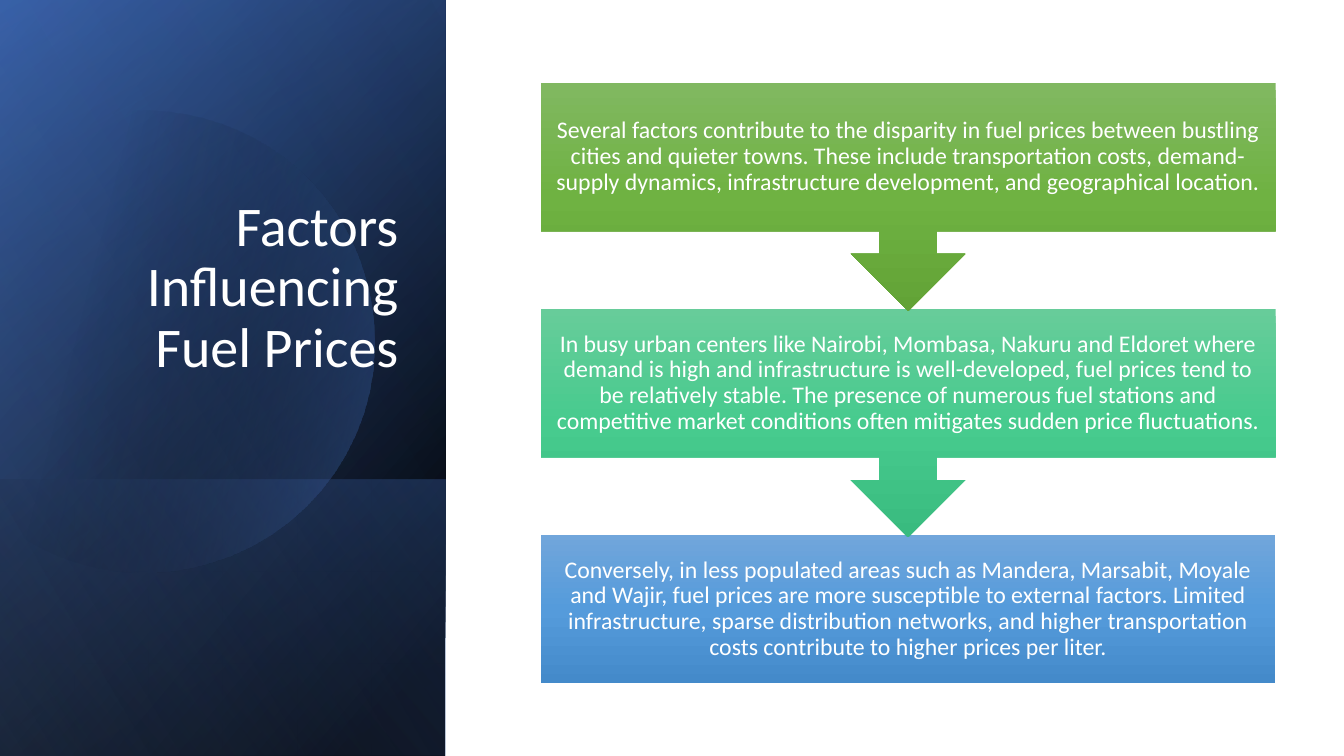
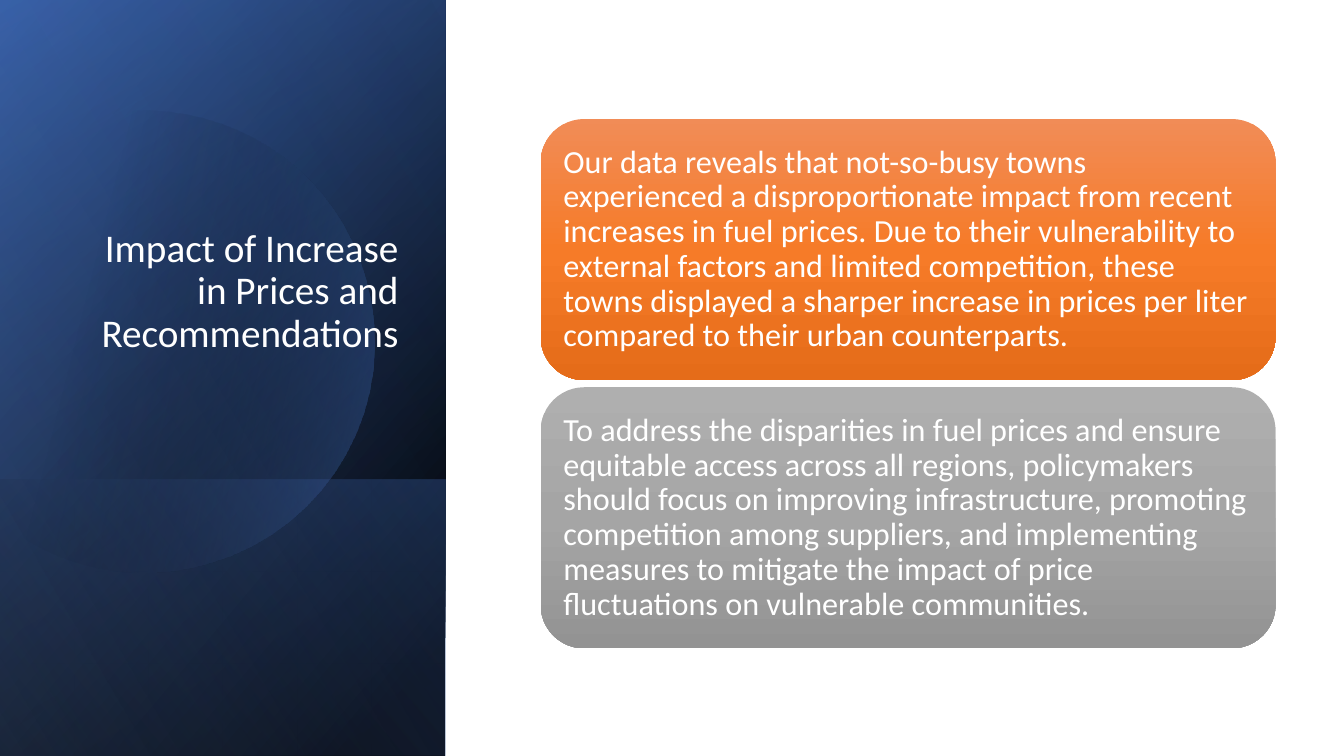
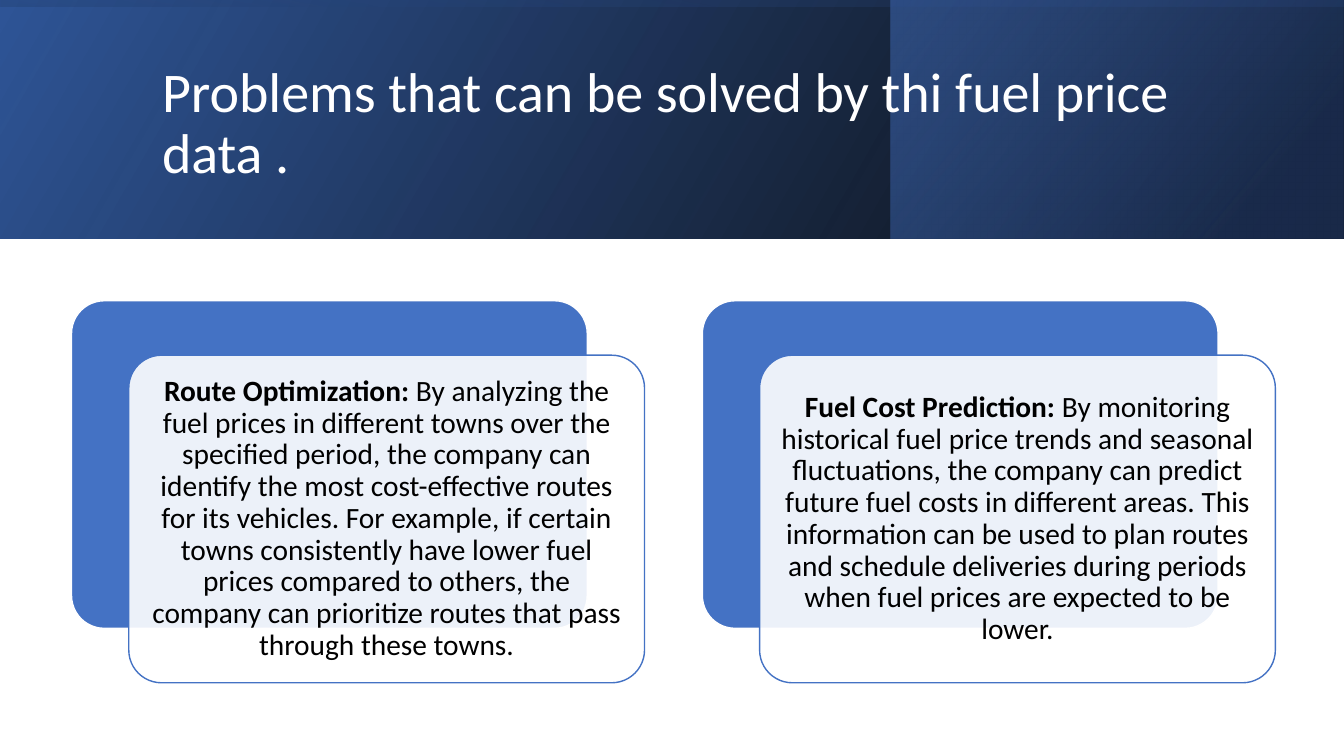
from dataclasses import dataclass

import lxml.etree
import pptx
import pptx.dml.color
import pptx.enum.shapes
import pptx.enum.text
import pptx.oxml.ns
import pptx.shapes.autoshape
import pptx.slide
import pptx.util

SHAPE = pptx.enum.shapes.MSO_SHAPE
ALIGN = pptx.enum.text.PP_ALIGN
ANCHOR = pptx.enum.text.MSO_ANCHOR

FONT = "Calibri"
WHITE, BLACK = "FFFFFF", "000000"
BLUE, DEEP_BLUE, NAVY, PALE_BLUE = "4472C4", "2F5597", "203864", "8FAADC"
SLIDE_WIDTH, SLIDE_HEIGHT = 960, 540
PANEL_WIDTH, BAND_HEIGHT = 318.24, 170.64
CONTENT_LEFT, CONTENT_WIDTH = 386.2, 524.9


@dataclass(frozen=True)
class Box:
    left: float
    top: float
    width: float
    height: float


@dataclass(frozen=True)
class Stop:
    position: int
    color: str
    opacity: int = 100


@dataclass(frozen=True)
class Gradient:
    stops: tuple[Stop, ...]
    angle: int


@dataclass(frozen=True)
class Wash:
    box: Box
    gradient: Gradient
    rotation: int = 0


@dataclass(frozen=True)
class TextStyle:
    size: float
    color: str = WHITE
    align: ALIGN = ALIGN.LEFT
    anchor: ANCHOR = ANCHOR.MIDDLE
    inset: float = 7.2


@dataclass(frozen=True)
class Block:
    text: str
    colors: tuple[str, str, str]


@dataclass(frozen=True)
class Card:
    heading: str
    text: str


PANEL = Box(0, 0, PANEL_WIDTH, SLIDE_HEIGHT)
PANEL_FOOT = Box(0, 342.7, PANEL_WIDTH, 197.3)
PANEL_BASE = (
    Wash(PANEL, Gradient((Stop(8, BLACK), Stop(100, DEEP_BLUE)), 50), 90),
    Wash(PANEL, Gradient((Stop(0, BLACK, 0), Stop(99, BLUE, 46)), 30), 90),
    Wash(PANEL_FOOT, Gradient((Stop(2, BLUE, 29), Stop(100, BLACK, 30)), 130), 90),
)
PANEL_SHEEN = Wash(PANEL, Gradient((Stop(0, BLACK, 0), Stop(99, PALE_BLUE, 11)), 120), 90)
BAND = Box(0, 0, SLIDE_WIDTH, BAND_HEIGHT)
BAND_WASHES = (
    Wash(BAND, Gradient((Stop(0, BLACK, 96), Stop(100, DEEP_BLUE)), 330)),
    Wash(Box(636.5, 0, 323, BAND_HEIGHT),
         Gradient((Stop(19, NAVY, 68), Stop(100, BLUE, 48)), 320)),
    Wash(BAND, Gradient((Stop(23, DEEP_BLUE, 16), Stop(99, BLACK, 45)), 350), 270),
)
CIRCLE_GRADIENT = Gradient((Stop(29, BLACK, 0), Stop(100, BLUE, 43)), 14)
CIRCLE_START = (107, 79)
CIRCLE_PIECES = (
    ((177, 81), (241, 127), (261, 198)),
    ((287, 286), (236, 377), (149, 402)),
    ((94, 418), (38, 404), (-2, 370)),
    ((-11, 362),),
    ((-11, 126),),
    ((0, 116),),
    ((17, 102), (36, 92), (58, 86)),
    ((74, 81), (91, 79), (107, 79)),
)

FACTORS = (
    Block("Several factors contribute to the disparity in fuel prices between bustling cities and "
          "quieter towns. These include transportation costs, demand-supply dynamics, "
          "infrastructure development, and geographical location.",
          ("81B861", "6FB242", "62A336")),
    Block("In busy urban centers like Nairobi, Mombasa, Nakuru and Eldoret where demand is high "
          "and infrastructure is well-developed, fuel prices tend to be relatively stable. The "
          "presence of numerous fuel stations and competitive market conditions often mitigates "
          "sudden price fluctuations.",
          ("67CC9A", "47CB8E", "39BB7F")),
    Block("Conversely, in less populated areas such as Mandera, Marsabit, Moyale and Wajir, fuel "
          "prices are more susceptible to external factors. Limited infrastructure, sparse "
          "distribution networks, and higher transportation costs contribute to higher prices "
          "per liter.",
          ("71A6DB", "559BDB", "448ACA")),
)
IMPACTS = (
    Block("Our data reveals that not-so-busy towns experienced a disproportionate impact from "
          "recent increases in fuel prices. Due to their vulnerability to external factors and "
          "limited competition, these towns displayed a sharper increase in prices per liter "
          "compared to their urban counterparts.",
          ("F18C57", "F67B28", "E56C19")),
    Block("To address the disparities in fuel prices and ensure equitable access across all "
          "regions, policymakers should focus on improving infrastructure, promoting competition "
          "among suppliers, and implementing measures to mitigate the impact of price "
          "fluctuations on vulnerable communities.",
          ("AFAFAF", "A5A5A5", "939393")),
)
CARDS = (
    Card("Route Optimization:",
         " By analyzing the fuel prices in different towns over the specified period, the company "
         "can identify the most cost-effective routes for its vehicles. For example, if certain "
         "towns consistently have lower fuel prices compared to others, the company can "
         "prioritize routes that pass through these towns."),
    Card("Fuel Cost Prediction:",
         " By monitoring historical fuel price trends and seasonal fluctuations, the company can "
         "predict future fuel costs in different areas. This information can be used to plan "
         "routes and schedule deliveries during periods when fuel prices are expected to be "
         "lower."),
)


def rgb(color: str) -> pptx.dml.color.RGBColor:
    return pptx.dml.color.RGBColor.from_string(color)


def element(parent: lxml.etree.ElementBase, tag: str, **attributes: str) -> lxml.etree.ElementBase:
    return lxml.etree.SubElement(parent, pptx.oxml.ns.qn(tag), attributes)


def frame(box: Box) -> tuple[pptx.util.Length, ...]:
    return tuple(pptx.util.Pt(value) for value in (box.left, box.top, box.width, box.height))


def fill_gradient(shape: pptx.shapes.autoshape.Shape, gradient: Gradient) -> None:
    shape.shadow.inherit = False
    shape.line.fill.background()
    shape.fill.gradient()
    fill = shape.fill._xPr.find(pptx.oxml.ns.qn("a:gradFill"))
    fill.set("rotWithShape", "1")
    for child in list(fill):
        fill.remove(child)
    stop_list = element(fill, "a:gsLst")
    for stop in gradient.stops:
        mark = element(stop_list, "a:gs", pos=str(stop.position * 1000))
        tint = element(mark, "a:srgbClr", val=stop.color)
        if stop.opacity < 100:
            element(tint, "a:alpha", val=str(stop.opacity * 1000))
    element(fill, "a:lin", ang=str(gradient.angle * 60000), scaled="0")


def add_wash(slide: pptx.slide.Slide, wash: Wash) -> None:
    box = wash.box
    if wash.rotation % 180 == 90:
        shift = (box.width - box.height) / 2
        box = Box(box.left + shift, box.top - shift, box.height, box.width)
    shape = slide.shapes.add_shape(SHAPE.RECTANGLE, *frame(box))
    shape.rotation = wash.rotation
    shape._element.spPr.xfrm.set("flipH", "1")
    fill_gradient(shape, wash.gradient)


def add_circle(slide: pptx.slide.Slide) -> None:
    points = [CIRCLE_START]
    steps = 16
    for piece in CIRCLE_PIECES:
        if len(piece) == 1:
            points.append(piece[0])
            continue
        controls = (points[-1], *piece)
        for step in range(1, steps + 1):
            t = step / steps
            weights = ((1 - t) ** 3, 3 * t * (1 - t) ** 2, 3 * t * t * (1 - t), t ** 3)
            points.append(tuple(
                sum(weight * point[axis] for weight, point in zip(weights, controls))
                for axis in (0, 1)))
    outline = [(pptx.util.Pt(x), pptx.util.Pt(y)) for x, y in points]
    builder = slide.shapes.build_freeform(*outline[0])
    builder.add_line_segments(outline[1:], close=True)
    fill_gradient(builder.convert_to_shape(), CIRCLE_GRADIENT)


def write_text(shape: pptx.shapes.autoshape.Shape, text: str, style: TextStyle,
               heading: str = "") -> None:
    text_frame = shape.text_frame
    text_frame.word_wrap = True
    text_frame.vertical_anchor = style.anchor
    inset = pptx.util.Pt(style.inset)
    text_frame.margin_left = text_frame.margin_right = inset
    text_frame.margin_top = text_frame.margin_bottom = inset
    paragraph = text_frame.paragraphs[0]
    paragraph.text = heading or text
    if heading:
        paragraph.add_run().text = text
    paragraph.alignment = style.align
    paragraph.line_spacing = 0.9
    for index, run in enumerate(paragraph.runs):
        run.font.name = FONT
        run.font.size = pptx.util.Pt(style.size)
        run.font.color.rgb = rgb(style.color)
        run.font.bold = bool(heading) and index == 0


def add_title(slide: pptx.slide.Slide, text: str, box: Box, style: TextStyle,
              bottom_inset: float = 3.6) -> None:
    title = slide.shapes.add_textbox(*frame(box))
    write_text(title, text, style)
    title.text_frame.margin_top = pptx.util.Pt(3.6)
    title.text_frame.margin_bottom = pptx.util.Pt(bottom_inset)


def add_side_panel(slide: pptx.slide.Slide, title: str, size: float, bottom_inset: float) -> None:
    for wash in PANEL_BASE:
        add_wash(slide, wash)
    add_circle(slide)
    add_wash(slide, PANEL_SHEEN)
    add_title(slide, title, Box(46.1, 132.5, 245.5, 188.6),
              TextStyle(size, align=ALIGN.RIGHT, anchor=ANCHOR.BOTTOM), bottom_inset)


def add_block(slide: pptx.slide.Slide, kind: SHAPE, top: float, height: float, block: Block,
              style: TextStyle) -> None:
    shape = slide.shapes.add_shape(kind, *frame(Box(CONTENT_LEFT, top, CONTENT_WIDTH, height)))
    stops = tuple(Stop(50 * index, color) for index, color in enumerate(block.colors))
    fill_gradient(shape, Gradient(stops, 90))
    write_text(shape, block.text, style)


def add_plate(slide: pptx.slide.Slide, box: Box, fill: str, line: str,
              opacity: int = 100) -> pptx.shapes.autoshape.Shape:
    plate = slide.shapes.add_shape(SHAPE.ROUNDED_RECTANGLE, *frame(box))
    plate.adjustments[0] = 0.1
    plate.shadow.inherit = False
    plate.fill.solid()
    plate.fill.fore_color.rgb = rgb(fill)
    if opacity < 100:
        tint = plate._element.spPr.find(".//" + pptx.oxml.ns.qn("a:srgbClr"))
        element(tint, "a:alpha", val=str(opacity * 1000))
    plate.line.color.rgb = rgb(line)
    plate.line.width = pptx.util.Pt(1)
    return plate


def build_factors(slide: pptx.slide.Slide) -> None:
    add_side_panel(slide, "Factors Influencing Fuel Prices", 40, 50)
    first_top, pitch, box_height, callout_height = 59, 161.5, 106, 163.2
    style = TextStyle(17, align=ALIGN.CENTER, inset=9.4)
    last = len(FACTORS) - 1
    for index in reversed(range(len(FACTORS))):
        kind = SHAPE.RECTANGLE if index == last else SHAPE.DOWN_ARROW_CALLOUT
        height = box_height if index == last else callout_height
        add_block(slide, kind, first_top + index * pitch, height, FACTORS[index], style)


def build_impacts(slide: pptx.slide.Slide) -> None:
    add_side_panel(slide, "Impact of Increase in Prices and Recommendations", 28, 67)
    for index, block in enumerate(IMPACTS):
        add_block(slide, SHAPE.ROUNDED_RECTANGLE, 85 + index * 191.6, 186.5, block, TextStyle(23))


def build_problems(slide: pptx.slide.Slide) -> None:
    for wash in BAND_WASHES:
        add_wash(slide, wash)
    add_title(slide, "Problems that can be solved by thi fuel price data .",
              Box(108.7, 27.4, 765.4, 123.8), TextStyle(40))
    style = TextStyle(21, BLACK, ALIGN.CENTER, inset=6.3)
    width, height, offset_x, offset_y = 368.4, 234, 40.9, 38.9
    for index, card in enumerate(CARDS):
        left, top = 51.1 + index * 450.6, 214.8
        add_plate(slide, Box(left, top, width, height), BLUE, WHITE)
        front = add_plate(slide, Box(left + offset_x, top + offset_y, width, height),
                          WHITE, BLUE, 90)
        write_text(front, card.text, style, card.heading)


def main() -> None:
    presentation = pptx.Presentation()
    presentation.slide_width = pptx.util.Pt(SLIDE_WIDTH)
    presentation.slide_height = pptx.util.Pt(SLIDE_HEIGHT)
    blank_layout = presentation.slide_layouts[6]
    for build in (build_factors, build_impacts, build_problems):
        build(presentation.slides.add_slide(blank_layout))
    presentation.save("out.pptx")


if __name__ == "__main__":
    main()
